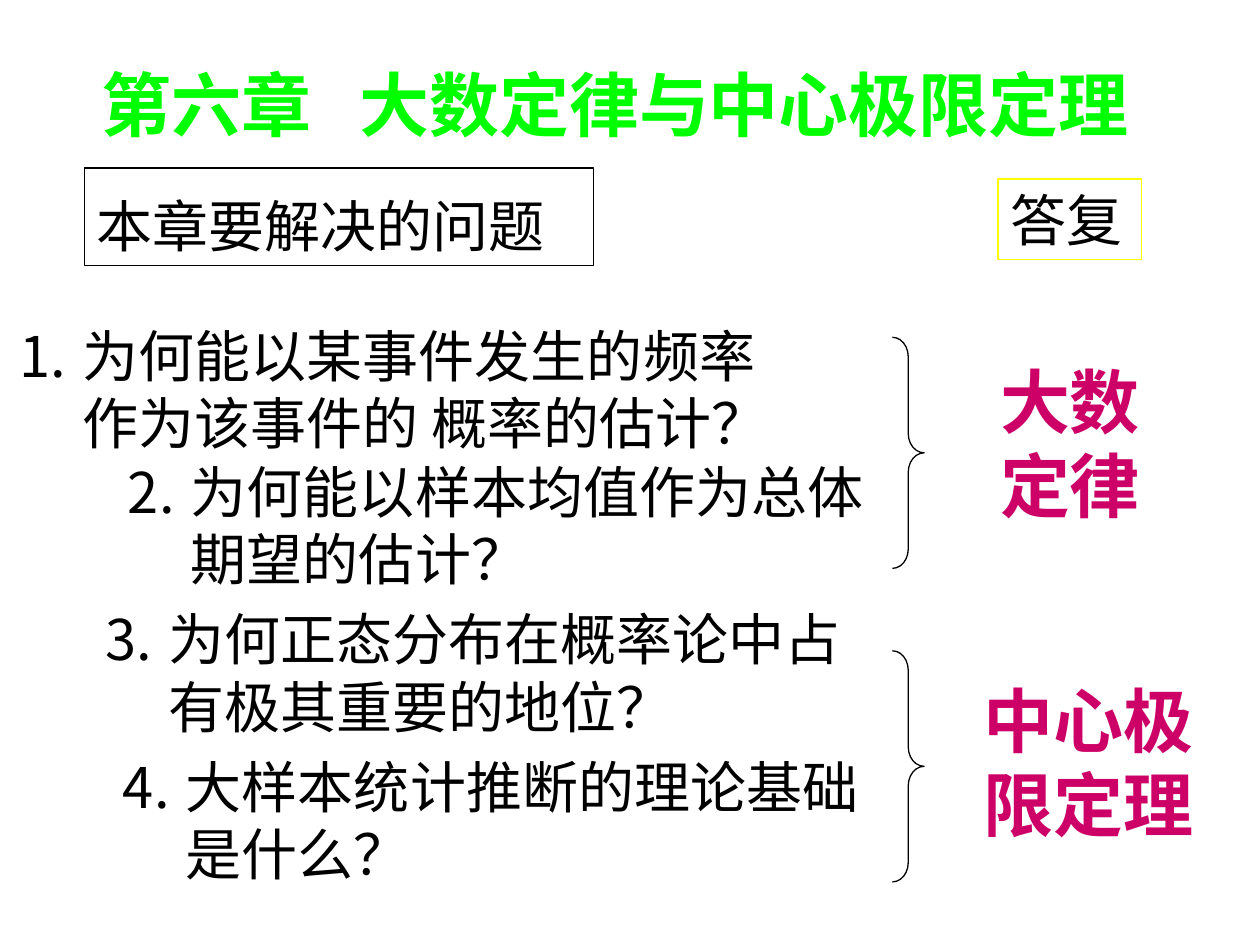
import pptx
import pptx.dml.color
import pptx.enum.shapes
import pptx.enum.text
import pptx.oxml.ns
import pptx.util
from lxml import etree

Cm = pptx.util.Cm
Anchor = pptx.enum.text.MSO_ANCHOR
Preset = pptx.enum.shapes.MSO_SHAPE

BLACK, GREEN, YELLOW, CRIMSON = "000000", "00FF00", "FFFF00", "CC0066"
BODY = {"size": pptx.util.Pt(32), "bold": False, "name": "Times New Roman"}
STRONG = {"size": pptx.util.Pt(40), "bold": True, "name": "Times New Roman"}
HANGING = Cm(1.27)


def color(hex_string):
    return pptx.dml.color.RGBColor.from_string(hex_string)


class SlideBuilder:
    def __init__(self, presentation):
        self.slide = presentation.slides.add_slide(presentation.slide_layouts[5])

    def fill_text(self, shape, lines, style, text_color, anchor=Anchor.TOP, wrap=True):
        frame = shape.text_frame
        settings = {
            "text": "\n".join(lines),
            "word_wrap": wrap,
            "auto_size": pptx.enum.text.MSO_AUTO_SIZE.NONE,
            "vertical_anchor": anchor,
        }
        for name, value in settings.items():
            setattr(frame, name, value)
        for paragraph in frame.paragraphs:
            paragraph.alignment = pptx.enum.text.PP_ALIGN.LEFT
            for run in paragraph.runs:
                for name, value in style.items():
                    setattr(run.font, name, value)
                run.font.color.rgb = color(text_color)

    def title(self, text, left, top, width, height):
        title = self.slide.shapes.title
        place = {"left": left, "top": top, "width": width, "height": height}
        for name, value in place.items():
            setattr(title, name, Cm(value))
        self.fill_text(title, [text], STRONG, GREEN)

    def text(self, lines, box, style, text_color, wrap=True):
        shape = self.slide.shapes.add_textbox(*map(Cm, box))
        self.fill_text(shape, lines, style, text_color, wrap=wrap)
        return shape

    def outline(self, preset, box, line_color):
        shape = self.slide.shapes.add_shape(preset, *map(Cm, box))
        shape.shadow.inherit = False
        shape.fill.background()
        shape.line.color.rgb = color(line_color)
        shape.line.width = pptx.util.Pt(0.75)
        return shape

    def label(self, text, box, line_color, anchor):
        shape = self.outline(Preset.RECTANGLE, box, line_color)
        self.fill_text(shape, [text], BODY, BLACK, anchor)

    def question(self, number, lines, box):
        """Number the first line and align the following one under its text."""
        shape = self.text(lines, box, BODY, BLACK)
        for index, paragraph in enumerate(shape.text_frame.paragraphs):
            properties = paragraph._p.get_or_add_pPr()
            properties.set("marL", str(HANGING))
            properties.set("indent", str(0 if index else -HANGING))
            if index == 0:
                bullet = etree.SubElement(properties, pptx.oxml.ns.qn("a:buAutoNum"))
                bullet.set("type", "arabicPeriod")
                bullet.set("startAt", str(number))

    def brace(self, top):
        shape = self.outline(Preset.RIGHT_BRACE, (17.99, top, 0.64, 4.66), BLACK)
        shape.adjustments[0] = 0.61


def main():
    presentation = pptx.Presentation()
    presentation.slide_width = Cm(25.4)
    presentation.slide_height = Cm(19.05)

    builder = SlideBuilder(presentation)
    builder.title("第六章   大数定律与中心极限定理", 1.8, 1.12, 22.35, 1.96)
    builder.label("本章要解决的问题", (1.7, 3.39, 10.26, 1.96), BLACK, Anchor.BOTTOM)
    builder.label("答复", (20.12, 3.61, 2.9, 1.63), YELLOW, Anchor.MIDDLE)

    questions = [
        (0.15, 6.35, 19.99, ["为何能以某事件发生的频率", "作为该事件的 概率的估计？"]),
        (2.33, 9.1, 15.6, ["为何能以样本均值作为总体", "期望的估计？"]),
        (1.88, 12.07, 16.03, ["为何正态分布在概率论中占", "有极其重要的地位？"]),
        (2.23, 15.04, 15.6, ["大样本统计推断的理论基础", "是什么？"]),
    ]
    for number, (left, top, width, lines) in enumerate(questions, 1):
        builder.question(number, lines, (left, top, width, 2.97))

    answers = [
        (6.8, (19.91, 7.11, 3.33, 3.66), ["大数", "定律"]),
        (13.12, (19.58, 13.54, 4.72, 3.66), ["中心极", "限定理"]),
    ]
    for brace_top, box, lines in answers:
        builder.brace(brace_top)
        builder.text(lines, box, STRONG, CRIMSON, wrap=False)

    presentation.save("out.pptx")


if __name__ == "__main__":
    main()
